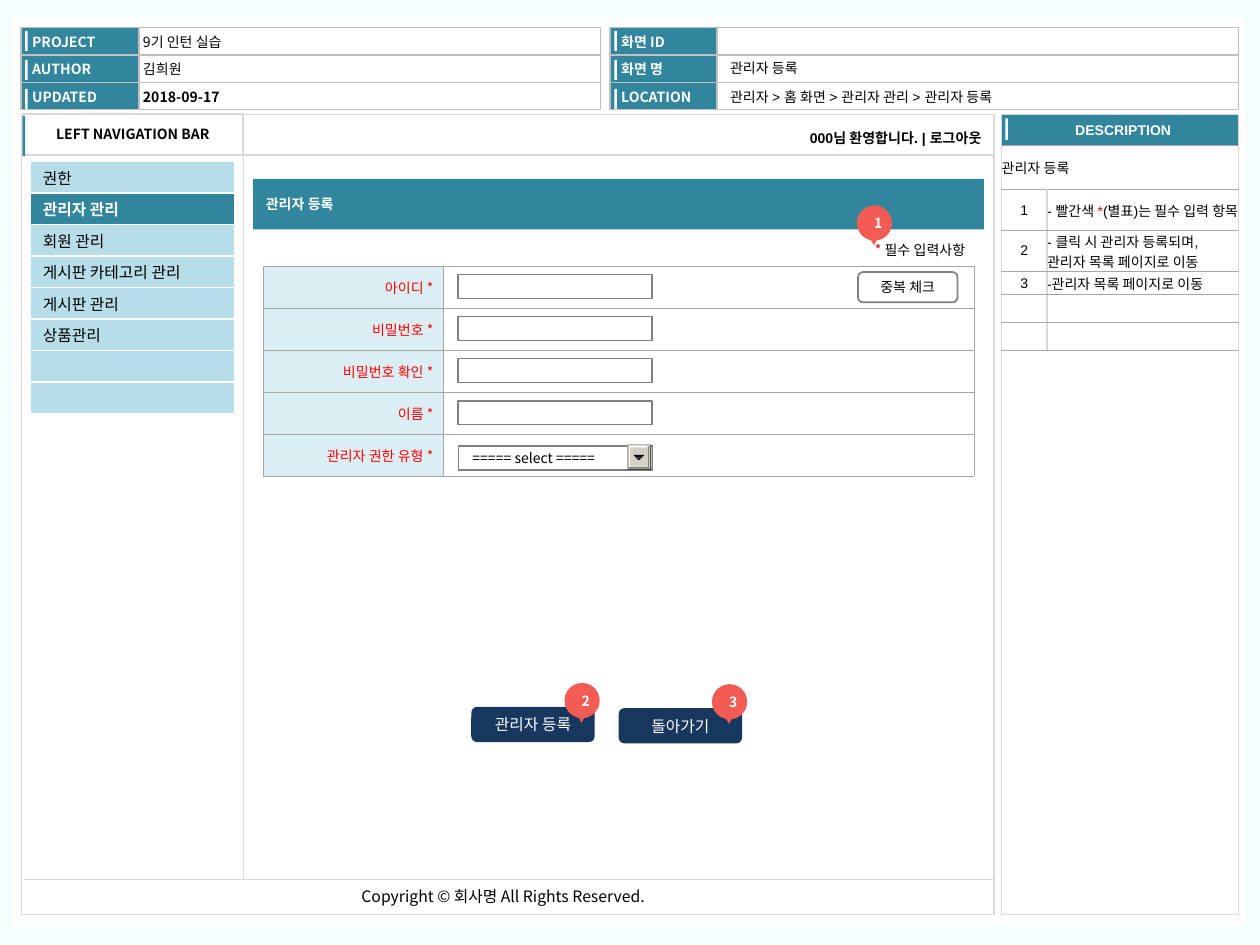
from dataclasses import dataclass

from lxml import etree
from pptx import Presentation
from pptx import util as u
from pptx.dml.color import RGBColor
from pptx.enum import shapes, text
from pptx.oxml import ns

COLUMNS, ROWS = 1000, 750
WIDTH, HEIGHT = u.Inches(10), u.Inches(7.5)
SANS, ARIAL = "Noto Sans CJK KR", "Arial"
TEAL, WHITE, BLACK, RED = "31859C", "FFFFFF", "000000", "FF0000"
PALE, SILVER, GRAY, CORAL = "D9D9D9", "C0C0C0", "808080", "F25C54"
KIND = shapes.MSO_SHAPE
LEFT, CENTER, RIGHT = text.PP_ALIGN.LEFT, text.PP_ALIGN.CENTER, text.PP_ALIGN.RIGHT
TOP, MIDDLE = text.MSO_ANCHOR.TOP, text.MSO_ANCHOR.MIDDLE


@dataclass
class Box:
    x: float
    y: float
    w: float
    h: float

    def inner(self, x, y, w, h):
        return Box(self.x + x, self.y + y, w, h)

    def place(self):
        return across(self.x), down(self.y), across(self.w), down(self.h)


def across(columns):
    return u.Emu(round(WIDTH * columns / COLUMNS))


def down(rows):
    return u.Emu(round(HEIGHT * rows / ROWS))


def colour(value):
    return RGBColor.from_string(value)


def write(frame, content, size=8, font=SANS, ink=BLACK, bold=False, align=LEFT, before=0):
    para = frame.paragraphs[0]
    para.alignment = align
    para.space_before = u.Pt(before)
    para.font.size, para.font.name, para.font.bold = u.Pt(size), font, bold
    if isinstance(content, str):
        para.font.color.rgb = colour(ink)
        content = [(content, None)] if content else []
    for words, shade in content:
        span = para.add_run()
        span.text = words
        if shade:
            span.font.color.rgb = colour(shade)
    if not content:
        etree.SubElement(para._p, ns.qn("a:endParaRPr"), sz=str(size * 100))


def set_margins(target, margins):
    (target.margin_left, target.margin_top,
     target.margin_right, target.margin_bottom) = map(across, margins)


def fill_frame(frame, content, margins=(10, 5, 10, 5), anchor=MIDDLE, wrap=True, **style):
    frame.word_wrap = wrap
    frame.vertical_anchor = anchor
    set_margins(frame, margins)
    write(frame, content, **style)


def add_block(page, box, kind=KIND.RECTANGLE, fill=None, line=None, weight=0.75):
    block = page.shapes.add_shape(kind, *box.place())
    block.shadow.inherit = False
    if fill:
        block.fill.solid()
        block.fill.fore_color.rgb = colour(fill)
    else:
        block.fill.background()
    if line:
        block.line.color.rgb = colour(line)
        block.line.width = u.Pt(weight)
    else:
        block.line.fill.background()
    return block


def add_label(page, box, content, **style):
    label = page.shapes.add_textbox(*box.place())
    fill_frame(label.text_frame, content, anchor=TOP, **style)


def add_rule(page, box, weight):
    rule = page.shapes.add_connector(
        shapes.MSO_CONNECTOR.STRAIGHT, across(box.x), down(box.y),
        across(box.x + box.w), down(box.y + box.h))
    rule.line.color.rgb = colour(PALE)
    rule.line.width = u.Pt(weight)
    etree.SubElement(rule.element.spPr, ns.qn("a:effectLst"))


def add_borders(cell, upright, level):
    properties = cell._tc.get_or_add_tcPr()
    for side, (ink, weight) in zip("LRTB", (upright, upright, level, level)):
        line = etree.SubElement(properties, ns.qn(f"a:ln{side}"), w=str(int(u.Pt(weight))))
        solid = etree.SubElement(line, ns.qn("a:solidFill"))
        etree.SubElement(solid, ns.qn("a:srgbClr"), val=ink)


def add_grid(page, box, widths, heights, upright, level):
    table = page.shapes.add_table(len(heights), len(widths), *box.place()).table
    table.first_row = table.horz_banding = False
    for column, width in zip(table.columns, widths):
        column.width = across(width)
    for row, height in zip(table.rows, heights):
        row.height = down(height)
    for cell in table.iter_cells():
        add_borders(cell, upright, level)
    return table


def fill_cell(cell, content, fill=WHITE, margins=(0, 0, 0, 0), **style):
    set_margins(cell, margins)
    cell.vertical_anchor = MIDDLE
    if fill:
        cell.fill.solid()
        cell.fill.fore_color.rgb = colour(fill)
    else:
        cell.fill.background()
    write(cell.text_frame, content, **style)


def add_header(page, box, label_width, entries):
    edge = (SILVER, 1)
    table = add_grid(page, box, (label_width, box.w - label_width),
                     [box.h / len(entries)] * len(entries), edge, edge)
    for row, (name, value, bold) in enumerate(entries):
        fill_cell(table.cell(row, 0), name, TEAL, (9, 0, 3, 0), ink=WHITE, bold=True, before=1.6)
        fill_cell(table.cell(row, 1), value, WHITE, (3, 0, 3, 0), bold=bold, before=1.6)
        add_block(page, box.inner(3.5, 2.5 + 23 * row, 2, 16), fill=WHITE)


def add_description(page, box, topic, notes):
    panel = add_grid(page, box, [box.w], (25, box.h - 25), (PALE, 1), (PALE, 1))
    fill_cell(panel.cell(0, 0), "DESCRIPTION", TEAL, (5, 0, 0, 0), font=ARIAL, ink=WHITE,
              bold=True, align=CENTER, before=1.6)
    fill_cell(panel.cell(1, 0), "")
    add_block(page, box.inner(3, 3, 2, 17), fill=WHITE)
    heights = (35, 32.5, 32.5, 18.5, 22, 22)
    table = add_grid(page, box.inner(0, 24.5, box.w, sum(heights)), (36, box.w - 36), heights,
                     (PALE, 1), ("A6A6A6", 0.5))
    table.cell(0, 0).merge(table.cell(0, 1))
    fill_cell(table.cell(0, 0), topic, font=ARIAL, before=1.6)
    for row in range(1, len(heights)):
        noted = row <= len(notes)
        fill_cell(table.cell(row, 0), str(row) if noted else "", font=ARIAL, align=CENTER, before=1.6)
        fill_cell(table.cell(row, 1), notes[row - 1] if noted else "", font=ARIAL, before=1.6)


def add_window(page, box):
    add_block(page, box, line=PALE)
    add_rule(page, box.inner(2, 607, box.w - 2, 0), 1)
    add_label(page, box.inner(260, 608, 252, 25), "Copyright © 회사명 All Rights Reserved.",
              size=9, wrap=False)
    add_rule(page, box.inner(176, 0, 0, 607), 0.75)
    add_rule(page, box.inner(176, 32, box.w - 176, 0), 1)
    add_label(page, box.inner(512, 8, 258, 22), "000님 환영합니다. | 로그아웃",
              margins=(8, 4, 8, 4), font=ARIAL, bold=True, align=RIGHT)


def add_navigation(page, box, items, current):
    heading = add_block(page, box.inner(0, 0, box.w, 33), line=PALE)
    fill_frame(heading.text_frame, "LEFT NAVIGATION BAR", bold=True, align=CENTER)
    add_block(page, box.inner(0, 2, 2, 32), fill=TEAL)
    edge = (WHITE, 1)
    table = add_grid(page, box.inner(6, 38, 162, 200), [162], [25] * 8, edge, edge)
    for row in range(8):
        item = items[row] if row < len(items) else ""
        active = item == current
        fill_cell(table.cell(row, 0), item, TEAL if active else "B7DEE8", (10, 1, 10, 0),
                  size=9, ink=WHITE if active else BLACK, bold=active)


def add_title(page, box, words):
    title = page.shapes.title
    title.left, title.top, title.width, title.height = box.place()
    title.fill.solid()
    title.fill.fore_color.rgb = colour(TEAL)
    fill_frame(title.text_frame, words, ink=WHITE, bold=True)
    title.element.getparent().append(title.element)


def add_select(page, box, words):
    field = add_block(page, box, fill=WHITE, line=GRAY)
    fill_frame(field.text_frame, words, margins=(11, 0, 8, 0))
    button = box.inner(box.w - 20, -1, 19, 20)
    bevel = (("404040", 0, 19, 20), ("D4D0C8", 0, 18, 19), (GRAY, 1, 16, 17.5),
             (WHITE, 1, 15, 16.5), ("D4D0C8", 2, 14, 15.5))
    for fill, inset, width, height in bevel:
        add_block(page, button.inner(inset, inset, width, height), fill=fill)
    for step in range(4):
        add_block(page, button.inner(5 + step, 8 + step, 8 - 2 * step, 1), fill=BLACK)


def add_form(page, box, labels):
    pitch = box.h / len(labels)
    edge = ("A6A6A6", 0.25)
    table = add_grid(page, box, (143, box.w - 143), [pitch] * len(labels), edge, edge)
    for row, label in enumerate(labels):
        fill_cell(table.cell(row, 0), f"{label} *", "DBEEF4", (8, 4, 8, 4), ink=RED,
                  align=RIGHT, before=1.6)
        fill_cell(table.cell(row, 1), "", None)
        if row < len(labels) - 1:
            add_block(page, box.inner(154.5, 7 + pitch * row, 154, 19), fill=WHITE, line=GRAY)
    add_label(page, box.inner(425, -24, 142, 24), [("* ", RED), ("필수 입력사항", BLACK)], align=RIGHT)
    check = add_block(page, box.inner(472, 5, 79, 24), KIND.ROUNDED_RECTANGLE, WHITE, GRAY, 1)
    fill_frame(check.text_frame, "중복 체크", align=CENTER)
    add_select(page, box.inner(155, 143, 154, 19), "===== select =====")


def add_marker(page, box, number):
    disc = add_block(page, box, KIND.OVAL, CORAL)
    fill_frame(disc.text_frame, str(number), margins=(6, 0, 0, 0), wrap=False,
               ink=WHITE, bold=True, align=CENTER)
    tip = add_block(page, box.inner(9, 23.5, 9, 8), KIND.ISOSCELES_TRIANGLE, CORAL)
    tip.rotation = 180


def add_button(page, box, words, number):
    button = add_block(page, box, KIND.ROUNDED_RECTANGLE, "17375E")
    fill_frame(button.text_frame, words, size=9, ink=WHITE, align=CENTER)
    add_marker(page, box.inner(74, -19, 28, 28), number)


def main():
    deck = Presentation()
    deck.slide_width, deck.slide_height = WIDTH, HEIGHT
    page = deck.slides.add_slide(deck.slide_layouts[5])
    page.background.fill.solid()
    page.background.fill.fore_color.rgb = colour("F3FCFF")
    add_block(page, Box(10, 14, 979, 721), fill=WHITE)
    add_header(page, Box(16.5, 22, 460, 65), 94, (
        ("PROJECT", "9기 인턴 실습", False), ("AUTHOR", "김희원", False), ("UPDATED", "2018-09-17", True)))
    add_header(page, Box(484, 22, 499, 65), 85, (
        ("화면 ID", "", False), ("화면 명", "", False), ("LOCATION", "", False)))
    for top, words in ((66, "관리자 > 홈 화면 > 관리자 관리 > 관리자 등록"), (43, "관리자 등록")):
        add_label(page, Box(571.5, top, 290, 20), words, margins=(8, 4, 8, 4), font=ARIAL)
    add_window(page, Box(17, 91, 772, 635))
    add_description(page, Box(795, 91, 188, 635), "관리자 등록", (
        [("- 빨간색 ", BLACK), ("*", RED), ("(별표)는 필수 입력 항목", BLACK)],
        "- 클릭 시 관리자 등록되며, 관리자 목록 페이지로 이동",
        "-관리자 목록 페이지로 이동"))
    add_navigation(page, Box(18, 90, 175, 240), (
        "권한", "관리자 관리", "회원 관리", "게시판 카테고리 관리", "게시판 관리", "상품관리"), "관리자 관리")
    add_title(page, Box(201, 142, 580, 40), "관리자 등록")
    add_form(page, Box(209, 211, 564, 167), ("아이디", "비밀번호", "비밀번호 확인", "이름", "관리자 권한 유형"))
    add_marker(page, Box(680, 163, 28, 28), 1)
    add_button(page, Box(374, 561, 98, 28), "관리자 등록", 2)
    add_button(page, Box(491, 562, 98, 28), "돌아가기", 3)
    deck.save("out.pptx")


if __name__ == "__main__":
    main()
